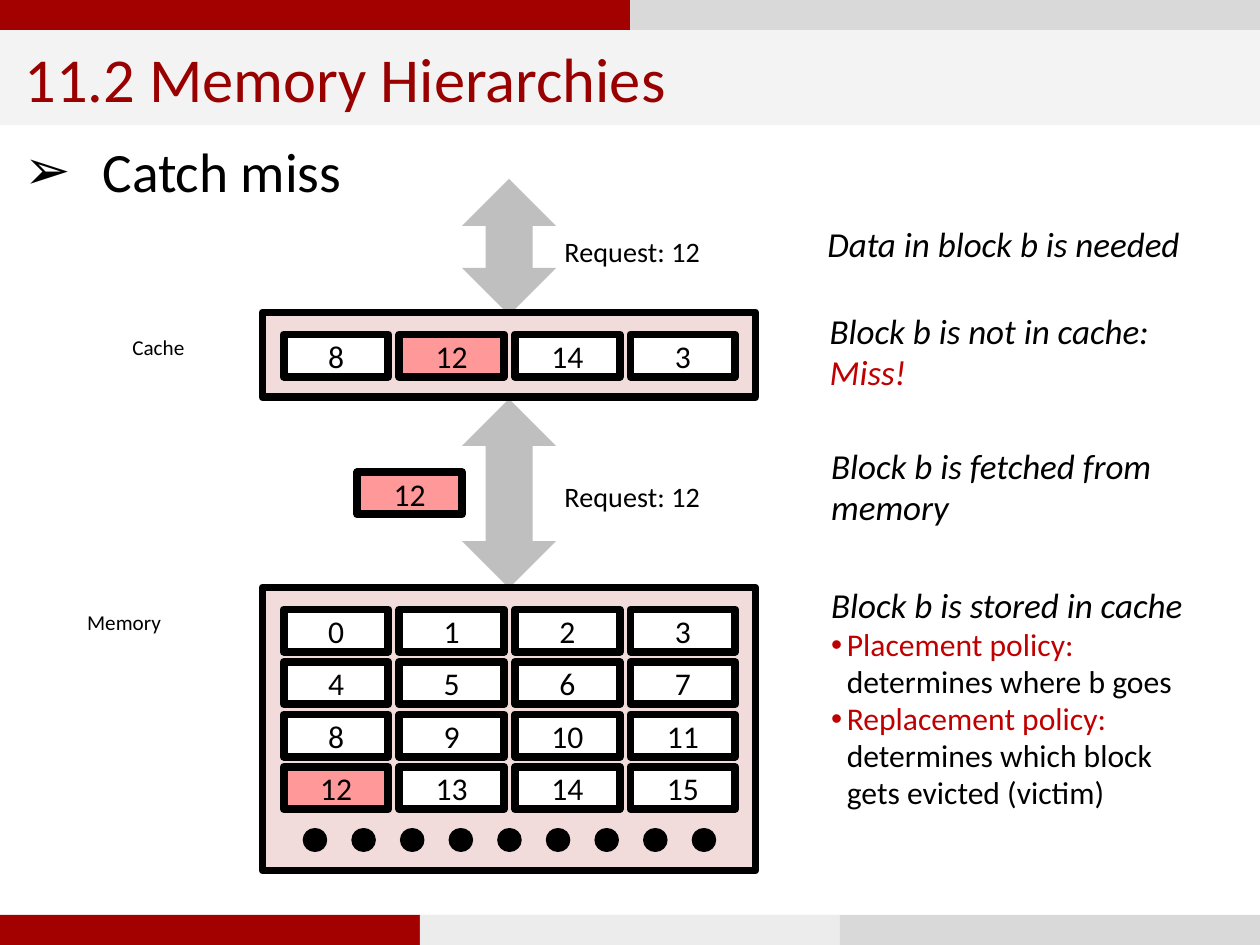
from copy import deepcopy

from lxml.etree import SubElement
from pptx import Presentation
from pptx.dml.color import RGBColor
from pptx.enum.dml import MSO_LINE
from pptx.enum.shapes import MSO_CONNECTOR, MSO_SHAPE as Shape
from pptx.enum.text import MSO_ANCHOR as Anchor, MSO_AUTO_SIZE, PP_ALIGN as Align
from pptx.oxml.ns import qn
from pptx.util import Pt

COLORS = {
    "black": "000000", "white": "FFFFFF", "crimson": "A30000", "title": "990000",
    "accent": "C00000", "gray": "D9D9D9", "light": "ECECEC", "header": "F3F3F3",
    "arrow": "BFBFBF", "store": "F2DCDB", "wanted": "FF9999",
}
FONT = "Calibri"
WIDTH, HEIGHT, BAND = 362.88, 272.16, 8.64

TITLE = "11.2 Memory Hierarchies"
TOPIC = "Catch miss"
TOP_BANDS = ["crimson", "gray"]
BOTTOM_BANDS = ["crimson", "light", "gray"]

WANTED_BLOCK = 12
CACHE_BLOCKS = [[8, 12, 14, 3]]
MEMORY_BLOCKS = [[row * 4 + column for column in range(4)] for row in range(4)]
STORES = [(90, 24.5, CACHE_BLOCKS), (169.2, 81.5, MEMORY_BLOCKS)]
STORE_LEFT, STORE_WIDTH = 75.6, 142
BLOCK_LEFT, BLOCK_INSET = 81.7, 6.35
BLOCK_WIDTH, BLOCK_HEIGHT = 30.2, 12.2
COLUMN_STEP, ROW_STEP = 33.3, 15.12
FETCHED_BLOCK = (102.9, 136)

ARROWS = [(51.5, 39.2), (114.9, 54.5)]
ARROW_LEFT, ARROW_WIDTH = 133.1, 27.1
STORE_LABELS = [
    ("Cache", 31, 92.9, 29.5),
    ("Memory", 18, 172.1, 36.7),
]
REQUEST = "Request: 12"
REQUEST_TOPS = [64.1, 134.6]
STEPS = [
    (234.7, 62.6, 113, 15.8, ["Data in block b is needed"]),
    (235.4, 87.8, 103, 27.4, ["Block b is not in cache:", "Miss!"]),
    (235.8, 126.7, 103.7, 27.4, ["Block b is fetched from", "memory"]),
    (235.8, 166.3, 112.3, 69.8, [
        "Block b is stored in cache",
        "Placement policy:\vdetermines where b goes",
        "Replacement policy:\vdetermines which block\vgets evicted (victim)",
    ]),
]


def rgb(name):
    return RGBColor.from_string(COLORS[name])


def style(run, size, color="black", italic=False):
    run.font.name = FONT
    run.font.size = Pt(size)
    run.font.italic = italic
    run.font.color.rgb = rgb(color)


def add_figure(kind, left, top, width, height, fill, outlined=False):
    figure = slide.shapes.add_shape(kind, Pt(left), Pt(top), Pt(width), Pt(height))
    figure.shadow.inherit = False
    figure.fill.solid()
    figure.fill.fore_color.rgb = rgb(fill)
    if outlined:
        figure.line.color.rgb = rgb("black")
        figure.line.width = Pt(2.25)
    else:
        figure.line.fill.background()
    return figure


def tighten(frame):
    frame.margin_left = frame.margin_right = Pt(3.6)
    frame.margin_top = frame.margin_bottom = Pt(2.1)
    frame.vertical_anchor = Anchor.MIDDLE


def add_block(left, top, number):
    fill = "wanted" if number == WANTED_BLOCK else "white"
    block = add_figure(Shape.RECTANGLE, left, top, BLOCK_WIDTH, BLOCK_HEIGHT, fill, True)
    frame = block.text_frame
    tighten(frame)
    frame.text = str(number)
    frame.paragraphs[0].alignment = Align.CENTER
    style(frame.paragraphs[0].runs[0], 9.1)


def add_label(left, top, width, height, text):
    label = slide.shapes.add_textbox(Pt(left), Pt(top), Pt(width), Pt(height))
    frame = label.text_frame
    frame.word_wrap = False
    frame.auto_size = MSO_AUTO_SIZE.SHAPE_TO_FIT_TEXT
    frame.text = text
    return frame


def add_bullet(paragraph, symbol, indent):
    properties = paragraph._p.get_or_add_pPr()
    properties.set("marL", str(Pt(indent)))
    properties.set("indent", str(-Pt(indent)))
    SubElement(properties, qn("a:buFont"), typeface="Arial")
    SubElement(properties, qn("a:buChar"), char=symbol)


def add_bands(top, fills):
    width = WIDTH / len(fills)
    for index, fill in enumerate(fills):
        add_figure(Shape.RECTANGLE, index * width, top, width, BAND, fill)


def add_headed_panel(top, height, fill, text, size, color, anchor):
    panel = add_figure(Shape.RECTANGLE, 0, top, WIDTH, height, fill)
    frame = panel.text_frame
    frame.vertical_anchor = anchor
    frame.text = text
    frame.paragraphs[0].alignment = Align.LEFT
    style(frame.paragraphs[0].runs[0], size, color)
    return frame.paragraphs[0]


def add_step(left, top, width, height, lines):
    frame = add_label(left, top, width, height, "\n".join(lines))
    tighten(frame)
    for paragraph in frame.paragraphs:
        paragraph.line_spacing = 0.98
        policy = len(paragraph.runs) > 1
        if policy:
            add_bullet(paragraph, "•", 4.5)
        for index, run in enumerate(paragraph.runs):
            accent = run.text == "Miss!" or (policy and index == 0)
            style(run, 9.1 if policy else 10.1, "accent" if accent else "black", not policy)
        for line_break in paragraph._p.findall(qn("a:br")):
            line_break.append(deepcopy(paragraph.runs[0]._r.rPr))


deck = Presentation()
deck.slide_width, deck.slide_height = Pt(WIDTH), Pt(HEIGHT)
slide = deck.slides.add_slide(deck.slide_layouts[6])

topic = add_headed_panel(36, 227.52, "white", TOPIC, 16, "black", Anchor.TOP)
add_bullet(topic, "➢", 22.5)
add_bands(0, TOP_BANDS)
add_headed_panel(BAND, 27.36, "header", TITLE, 18, "title", Anchor.MIDDLE)
add_bands(HEIGHT - BAND, BOTTOM_BANDS)

for top, height in ARROWS:
    add_figure(Shape.UP_DOWN_ARROW, ARROW_LEFT, top, ARROW_WIDTH, height, "arrow")

for store_top, store_height, rows in STORES:
    add_figure(Shape.RECTANGLE, STORE_LEFT, store_top, STORE_WIDTH, store_height, "store", True)
    for row, numbers in enumerate(rows):
        for column, number in enumerate(numbers):
            add_block(BLOCK_LEFT + column * COLUMN_STEP,
                      store_top + BLOCK_INSET + row * ROW_STEP, number)
add_block(*FETCHED_BLOCK, WANTED_BLOCK)

more_blocks = slide.shapes.add_connector(
    MSO_CONNECTOR.STRAIGHT, Pt(90.7), Pt(241.9), Pt(211.7), Pt(241.9))
more_blocks.line.color.rgb = rgb("black")
more_blocks.line.width = Pt(7)
more_blocks.line.dash_style = MSO_LINE.ROUND_DOT
more_blocks.line._ln.set("cap", "rnd")
SubElement(more_blocks._element.spPr, qn("a:effectLst"))

for name, left, top, width in STORE_LABELS:
    store_label = add_label(left, top, width, 14.4, name)
    style(store_label.paragraphs[0].runs[0], 6.1)

for top in REQUEST_TOPS:
    request = add_label(154.8, top, 54.7, 17.3, REQUEST).paragraphs[0]
    request.alignment = Align.CENTER
    style(request.runs[0], 8.1)

for step in STEPS:
    add_step(*step)

deck.save("out.pptx")
